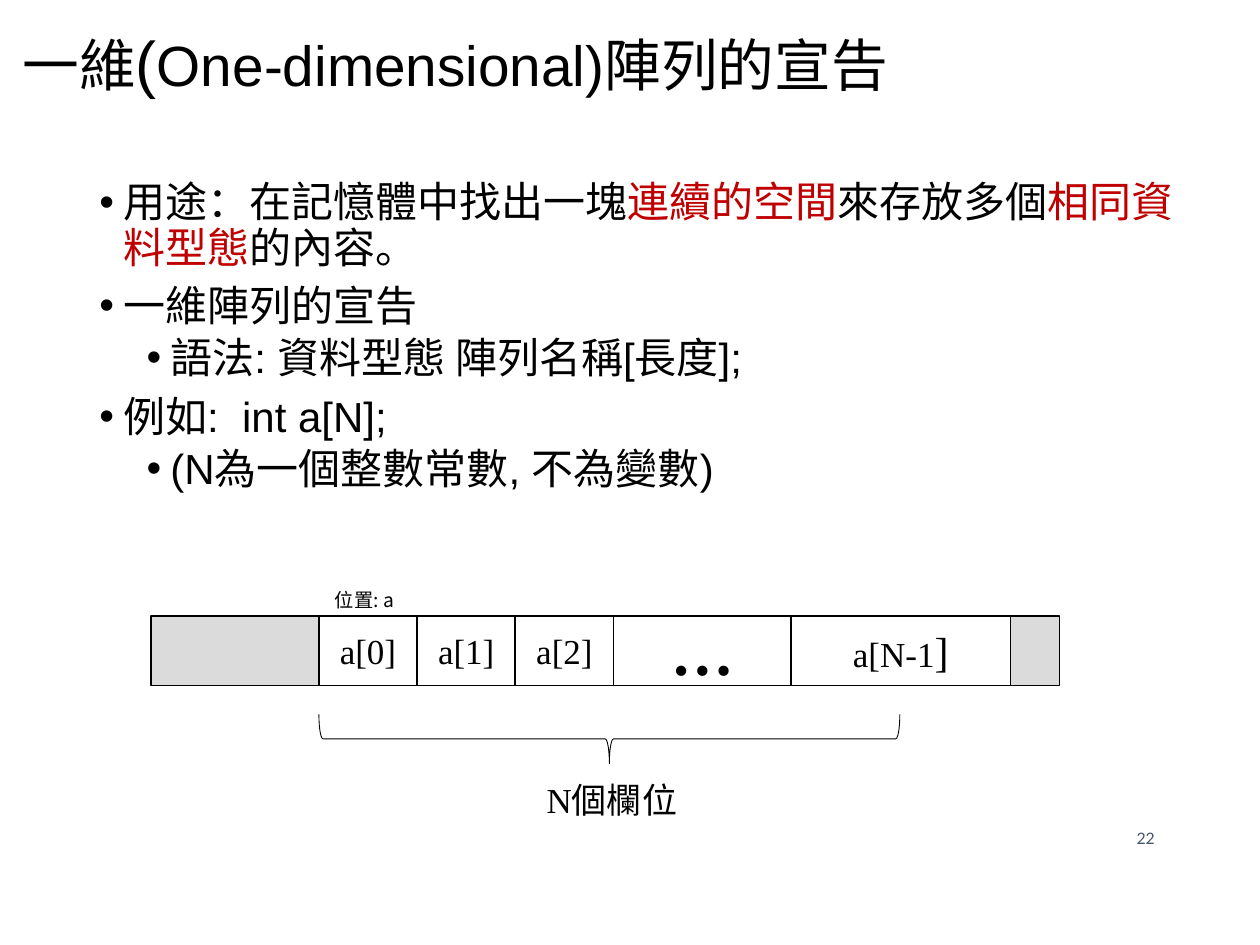
from lxml import etree
from pptx import Presentation
from pptx.dml.color import RGBColor
from pptx.enum import shapes, text
from pptx.oxml.ns import qn
from pptx.util import Cm, Pt

COLORS = {"ink": "000000", "key": "C00000", "number": "44546A",
          "memory": "DBDBDB", "cell": "FFFFFF"}
SANS, SERIF, LABEL, NUMBER = "Arial", "Times New Roman", "Noto Sans CJK SC", "Lato"

HEADING = [("一維", 32.4), ("(", 36), ("One-dimensional)陣列的宣告", 32.4)]
POINTS = [
    (0, [("用途：在記憶體中找出一塊", "ink"), ("連續的空間", "key"),
         ("來存放多個", "ink"), ("相同資料型態", "key"), ("的內容。", "ink")]),
    (0, [("一維陣列的宣告", "ink")]),
    (1, [("語法: 資料型態 陣列名稱[長度];", "ink")]),
    (0, [("例如:  int a[N];", "ink")]),
    (1, [("(N為一個整數常數, 不為變數)", "ink")]),
]
LEVELS = [(0.48, 7.5), (1.43, 3.8)]
HANGING = 0.48
CELLS = [
    (1.98, [("a[0]", 20)], False),
    (1.98, [("a[1]", 20)], False),
    (1.98, [("a[2]", 20)], False),
    (3.58, [("…", 36)], True),
    (4.42, [("a[N-1", 20), ("]", 24)], False),
]
MEMORY_LEFT, MEMORY_WIDTH = 3.05, 18.31
CELLS_LEFT, ROW_TOP, ROW_HEIGHT = 6.43, 12.42, 1.4
BRACE_TOP, BRACE_SPAN, BRACE_DEPTH = 14.4, 11.71, 0.99


def color(name):
    return RGBColor.from_string(COLORS[name])


def style(run, size, face, ink="ink", bold=False):
    run.font.size = Pt(size)
    run.font.name = face
    run.font.bold = bold
    run.font.color.rgb = color(ink)


def add_run(paragraph, words, *look):
    run = paragraph.add_run()
    run.text = words
    style(run, *look)


def place(shape, left, top, width, height):
    shape.left, shape.top = Cm(left), Cm(top)
    shape.width, shape.height = Cm(width), Cm(height)


def add_box(slide, left, width, fill):
    box = slide.shapes.add_shape(shapes.MSO_SHAPE.RECTANGLE, Cm(left), Cm(ROW_TOP),
                                 Cm(width), Cm(ROW_HEIGHT))
    box.shadow.inherit = False
    box.fill.solid()
    box.fill.fore_color.rgb = color(fill)
    box.line.color.rgb = color("ink")
    box.line.width = Pt(1)
    return box


def add_label(slide, words, area, *look):
    label = slide.shapes.add_textbox(*map(Cm, area))
    label.text_frame.word_wrap = True
    label.text_frame.text = words
    paragraph = label.text_frame.paragraphs[0]
    style(paragraph.runs[0], *look)
    return label.text_frame, paragraph


def fill_heading(title):
    place(title, 0.2, 0.13, 18.03, 2.41)
    frame = title.text_frame
    frame.auto_size = text.MSO_AUTO_SIZE.NONE
    frame.vertical_anchor = text.MSO_ANCHOR.MIDDLE
    paragraph = frame.paragraphs[0]
    paragraph.alignment = text.PP_ALIGN.LEFT
    paragraph.line_spacing = 0.9
    for words, size in HEADING:
        add_run(paragraph, words, size, SANS)


def fill_points(body):
    place(body, 1.75, 3.53, 22.86, 7.21)
    frame = body.text_frame
    frame.auto_size = text.MSO_AUTO_SIZE.NONE
    for index, (level, parts) in enumerate(POINTS):
        paragraph = frame.add_paragraph() if index else frame.paragraphs[0]
        margin, before = LEVELS[level]
        paragraph.level = level
        paragraph.line_spacing = 0.9
        paragraph.space_before = Pt(before)
        properties = paragraph._p.get_or_add_pPr()
        properties.set("marL", str(Cm(margin)))
        properties.set("indent", str(-Cm(HANGING)))
        etree.SubElement(properties, qn("a:buFont")).set("typeface", SANS)
        etree.SubElement(properties, qn("a:buChar")).set("char", "•")
        for words, ink in parts:
            add_run(paragraph, words, 24, SANS, ink)


def draw_array(slide):
    add_box(slide, MEMORY_LEFT, MEMORY_WIDTH, "memory")
    left = CELLS_LEFT
    for width, parts, bold in CELLS:
        frame = add_box(slide, left, width, "cell").text_frame
        frame.vertical_anchor = text.MSO_ANCHOR.MIDDLE
        paragraph = frame.paragraphs[0]
        paragraph.alignment = text.PP_ALIGN.CENTER
        for words, size in parts:
            add_run(paragraph, words, size, SERIF, "ink", bold)
        left += width


def draw_brace(slide):
    left = CELLS_LEFT + (BRACE_SPAN - BRACE_DEPTH) / 2
    top = BRACE_TOP - (BRACE_SPAN - BRACE_DEPTH) / 2
    brace = slide.shapes.add_shape(shapes.MSO_SHAPE.LEFT_BRACE, Cm(left), Cm(top),
                                   Cm(BRACE_DEPTH), Cm(BRACE_SPAN))
    brace.rotation = 270
    brace.shadow.inherit = False
    brace.fill.background()
    brace.line.color.rgb = color("ink")
    brace.line.width = Pt(0.5)


def main():
    deck = Presentation()
    deck.slide_width, deck.slide_height = Cm(25.4), Cm(19.05)
    slide = deck.slides.add_slide(deck.slide_layouts[1])

    fill_heading(slide.shapes.title)
    fill_points(slide.placeholders[1])
    draw_array(slide)
    draw_brace(slide)

    add_label(slide, "N個欄位", (10.77, 15.57, 3.23, 1.12), 20, SERIF)
    _, position = add_label(slide, "位置: a", (5.23, 11.73, 4.6, 0.74), 11, LABEL)
    position._p.get_or_add_pPr().set("marL", str(Cm(1.27)))
    frame, number = add_label(slide, "22", (17.81, 16.38, 5.72, 1.02), 9, NUMBER, "number")
    frame.vertical_anchor = text.MSO_ANCHOR.MIDDLE
    number.alignment = text.PP_ALIGN.RIGHT

    deck.save("out.pptx")


if __name__ == "__main__":
    main()
